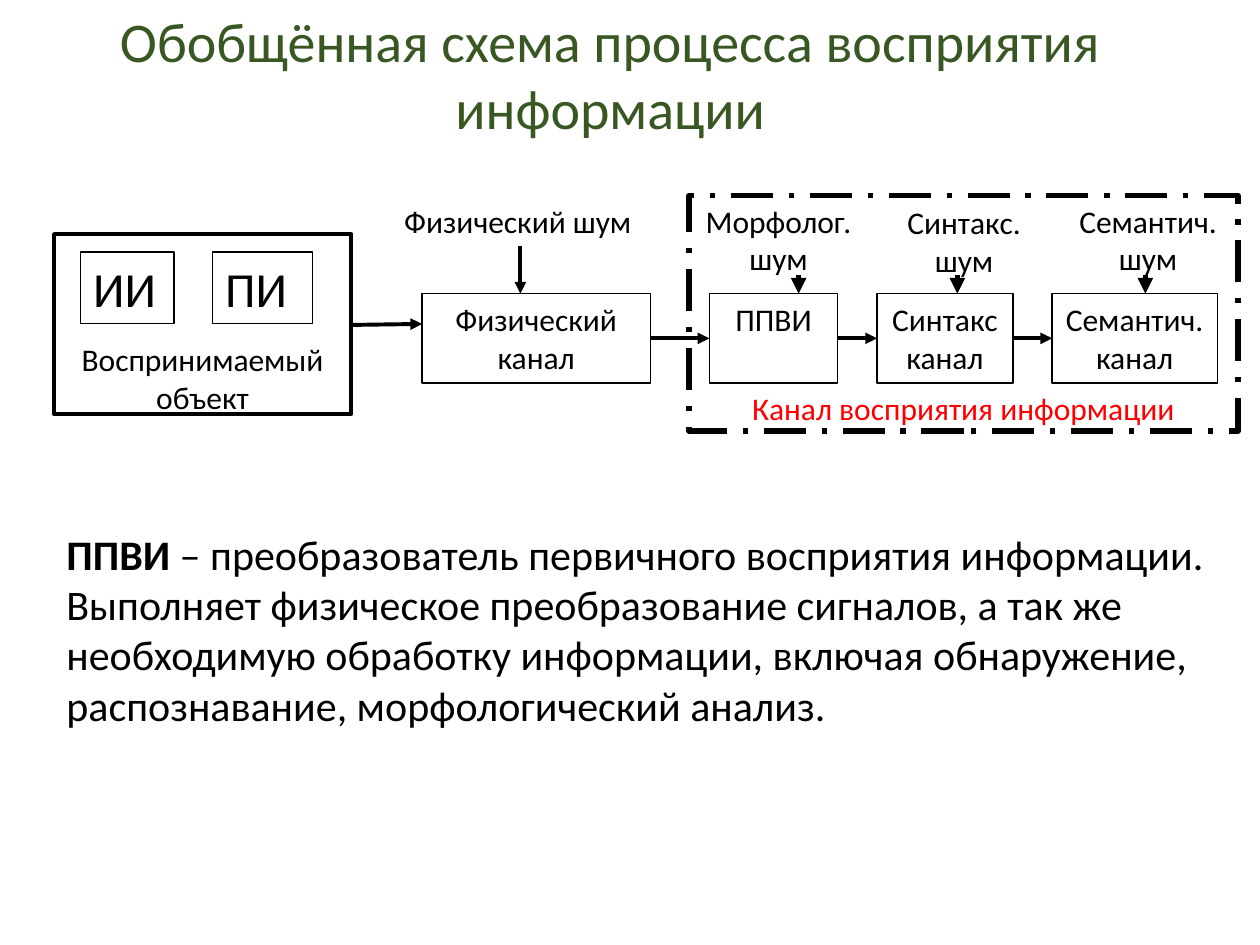
import pptx
import pptx.dml.color
import pptx.enum.dml
import pptx.enum.shapes
import pptx.enum.text
import pptx.oxml
import pptx.oxml.ns
import pptx.util
from pptx.util import Cm

FONT = "Calibri"
BLACK, GREEN, RED = "000000", "385723", "FF0000"
CENTER = pptx.enum.text.PP_ALIGN.CENTER
LEFT = pptx.enum.text.PP_ALIGN.LEFT
CHANNEL_TOP, CHANNEL_HEIGHT = 5.92, 1.8
NOISE_TOP = 3.94


def color(value):
    """Turn a hex string into a colour."""
    return pptx.dml.color.RGBColor.from_string(value)


def write(shape, paragraphs, size, ink=BLACK, align=CENTER):
    """Fill a shape with paragraphs, each a list of (text, bold) runs."""
    frame = shape.text_frame
    frame.word_wrap = True
    frame.vertical_anchor = pptx.enum.text.MSO_ANCHOR.TOP
    for index, runs in enumerate(paragraphs):
        paragraph = frame.add_paragraph() if index else frame.paragraphs[0]
        paragraph.alignment = align
        for text, bold in runs:
            run = paragraph.add_run()
            run.text = text
            run.font.name = FONT
            run.font.size = pptx.util.Pt(size)
            run.font.bold = bold
            run.font.color.rgb = color(ink)


def add_box(slide, place, weight=0.75, text=None, size=18, align=CENTER):
    """Add an outlined, unfilled rectangle with optional text."""
    shape = slide.shapes.add_shape(
        pptx.enum.shapes.MSO_SHAPE.RECTANGLE, *map(Cm, place))
    shape.shadow.inherit = False
    shape.fill.background()
    shape.line.color.rgb = color(BLACK)
    shape.line.width = pptx.util.Pt(weight)
    if text:
        write(shape, [[(text, False)]], size, align=align)
    return shape


def add_label(slide, place, paragraphs, size=18, ink=BLACK, align=CENTER):
    """Add a wrapping text box."""
    label = slide.shapes.add_textbox(*map(Cm, place))
    write(label, paragraphs, size, ink, align)


def add_arrow(slide, start, end, weight=2.25):
    """Add a straight arrow between two points."""
    arrow = slide.shapes.add_connector(
        pptx.enum.shapes.MSO_CONNECTOR.STRAIGHT, *map(Cm, start + end))
    arrow.line.color.rgb = color(BLACK)
    arrow.line.width = pptx.util.Pt(weight)
    namespace = pptx.oxml.ns.nsdecls("a")
    arrow.line._get_or_add_ln().append(
        pptx.oxml.parse_xml(f'<a:tailEnd {namespace} type="triangle"/>'))
    arrow._element.spPr.append(
        pptx.oxml.parse_xml(f"<a:effectLst {namespace}/>"))


def add_title(slide, text):
    """Place and format the slide title."""
    title = slide.shapes.title
    title.left, title.top, title.width, title.height = map(
        Cm, (0.1, 0, 24.41, 3))
    write(title, [[(text, False)]], 32, GREEN)


def add_perceived_object(slide):
    """Draw the perceived object with its two inner boxes."""
    add_box(slide, (1.09, 4.72, 5.99, 3.63), 2.25)
    for text, left, width in (("ИИ", 1.63, 1.88), ("ПИ", 4.29, 2.01)):
        add_box(slide, (left, 5.08, width, 1.45), 0.75, text, 28, LEFT)
    add_label(slide, (1.09, 6.73, 5.99, 1.8),
              [[("Воспринимаемый объект", False)]])


def add_channels(slide):
    """Draw the channels, their noise sources and the linking arrows."""
    frame = add_box(slide, (13.89, NOISE_TOP, 11.07, 4.75), 3)
    frame.line.dash_style = pptx.enum.dml.MSO_LINE.LONG_DASH_DOT
    add_label(slide, (14.3, 7.72, 10.24, 1.02),
              [[("Канал восприятия информации", False)]], ink=RED)

    channels = (("Физический канал", 8.51, 4.6), ("ППВИ", 14.3, 2.59),
                ("Синтакс канал", 17.68, 2.74), ("Семантич. канал", 21.21, 3.33))
    for text, left, width in channels:
        add_box(slide, (left, CHANNEL_TOP, width, CHANNEL_HEIGHT), text=text)

    add_arrow(slide, (7.1, 6.55), (8.51, 6.53))
    middle = CHANNEL_TOP + CHANNEL_HEIGHT / 2
    for (_, left, width), (_, next_left, _) in zip(channels, channels[1:]):
        add_arrow(slide, (left + width, middle), (next_left, middle))

    add_label(slide, (7.9, NOISE_TOP, 5.21, 1.02),
              [[("Физический шум", False)]], align=LEFT)
    add_arrow(slide, (10.49, 4.95), (10.49, CHANNEL_TOP))
    noises = (("Морфолог. шум", 13.89, NOISE_TOP, 16.1),
              ("Синтакс. шум", 17.63, 3.97, 19.3),
              ("Семантич. шум", 21.34, NOISE_TOP, 23.09))
    for text, left, top, arrow_x in noises:
        add_label(slide, (left, top, 3.61, 1.8), [[(text, False)]])
        add_arrow(slide, (arrow_x, 5.54), (arrow_x, CHANNEL_TOP), 3)


def main():
    """Build and save the presentation."""
    presentation = pptx.Presentation()
    presentation.slide_width, presentation.slide_height = Cm(25.4), Cm(19.05)
    slide = presentation.slides.add_slide(presentation.slide_layouts[5])
    add_title(slide, "Обобщённая схема процесса восприятия информации")
    add_perceived_object(slide)
    add_channels(slide)
    add_label(slide, (1.09, 10.52, 23.83, 4.37), [
        [("ППВИ", True),
         (" – преобразователь первичного восприятия информации.", False)],
        [("Выполняет физическое преобразование сигналов, а так же необходимую "
          "обработку информации, включая обнаружение, распознавание, "
          "морфологический анализ.", False)],
    ], size=24, align=LEFT)
    presentation.save("out.pptx")


main()
